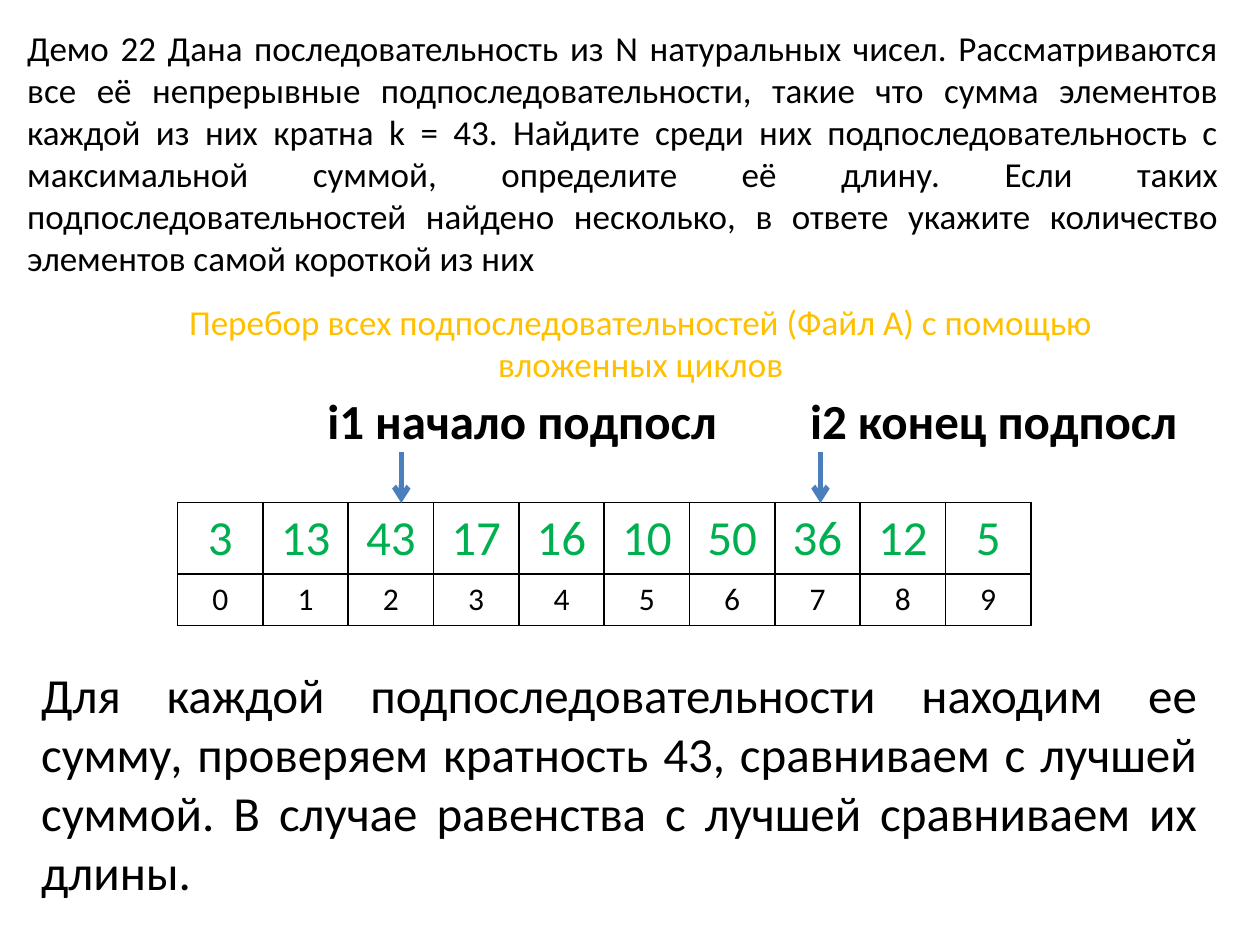
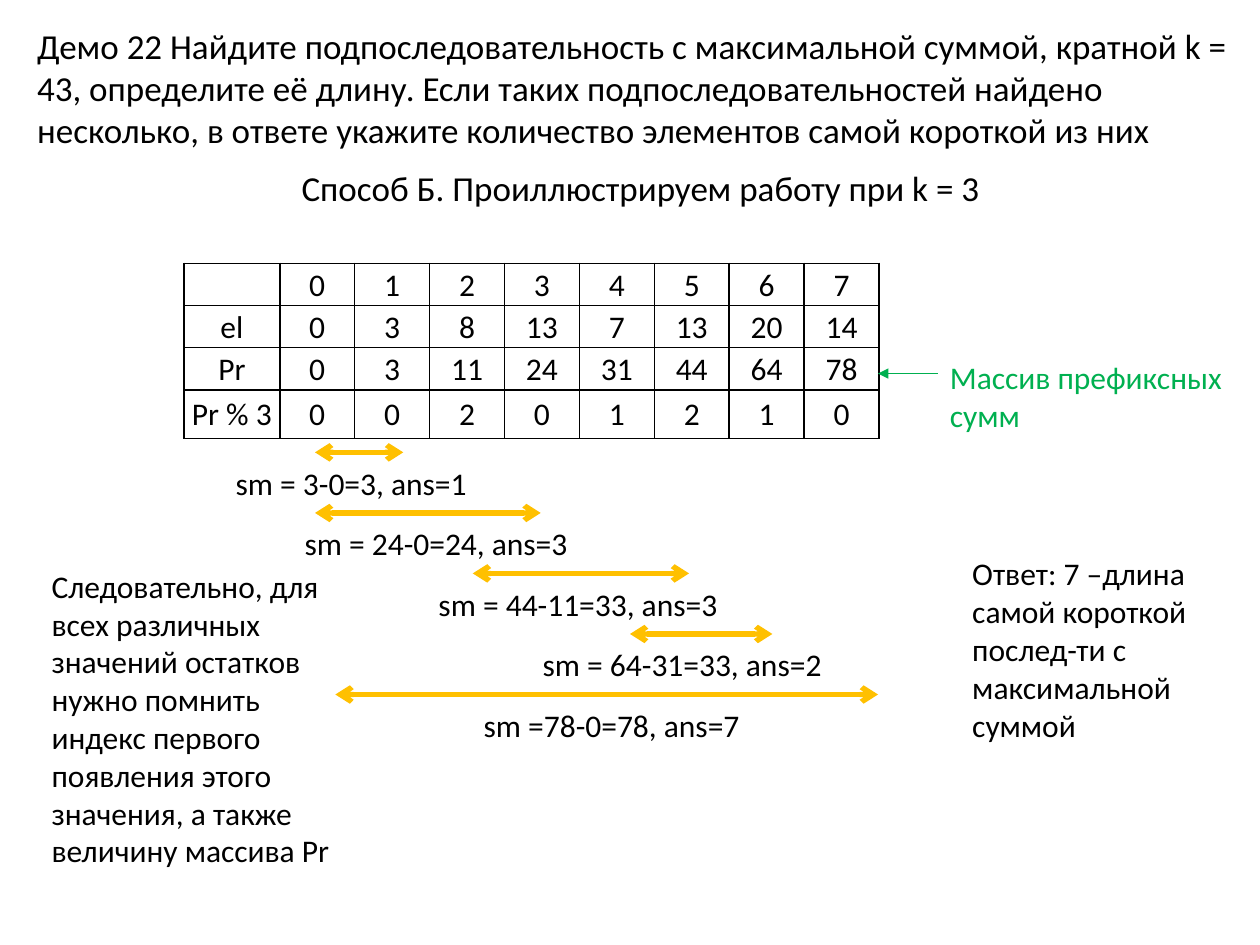
from lxml.etree import SubElement as Sub
from pptx import Presentation
from pptx.dml.color import RGBColor as Rgb
from pptx.enum.shapes import MSO_CONNECTOR as Link
from pptx.enum.text import MSO_ANCHOR as Anchor, MSO_AUTO_SIZE as Auto, PP_ALIGN as Align
from pptx.oxml.ns import qn
from pptx.util import Cm, Pt

FONT = "Calibri"
HUES = {"ink": "000000", "gold": "FFC000", "green": "00B050", "blue": "4B7EBC"}
WIDE, HIGH = 25.4, 19.05


def style(para, size, hue="ink", align=Align.LEFT, bold=False):
    """Set the font and alignment of a paragraph."""
    para.alignment = align
    font = para.font
    font.name, font.size, font.bold = FONT, Pt(size), bold
    font.color.rgb = Rgb.from_string(HUES[hue])


def write(slide, box, text, size=18, **look):
    """Add a wrapped text box; box is left, top, width, height in cm."""
    shape = slide.shapes.add_textbox(*map(Cm, box))
    frame = shape.text_frame
    frame.word_wrap = True
    frame.auto_size = Auto.SHAPE_TO_FIT_TEXT
    frame.text = text
    style(frame.paragraphs[0], size, **look)


def arrow(slide, start, end, hue, width=3, head=None, tail="arrow"):
    """Add a straight arrow between two points in cm."""
    line = slide.shapes.add_connector(Link.STRAIGHT, *map(Cm, start + end))
    line.line.color.rgb = Rgb.from_string(HUES[hue])
    line.line.width = Pt(width)
    edge = line.line._get_or_add_ln()
    for name, kind in (("a:headEnd", head), ("a:tailEnd", tail)):
        if kind:
            Sub(edge, qn(name), type=kind)
    Sub(line._element.spPr, qn("a:effectLst"))


def frame_cell(cell):
    """Give a cell thin black borders and no fill."""
    props = cell._tc.get_or_add_tcPr()
    for side in "LRTB":
        edge = Sub(props, qn(f"a:ln{side}"), w=str(Pt(1)))
        Sub(Sub(edge, qn("a:solidFill")), qn("a:srgbClr"), val=HUES["ink"])
    cell.fill.background()


def grid(slide, spot, rows, cols, highs, looks, pad=None):
    """Add a bordered table with one look (size, hue) per row."""
    size = (sum(cols), sum(highs))
    table = slide.shapes.add_table(len(rows), len(cols), *map(Cm, spot + size)).table
    table.first_row = table.horz_banding = False
    for col, wide in zip(table.columns, cols):
        col.width = Cm(wide)
    for row, high, texts, look in zip(table.rows, highs, rows, looks):
        row.height = Cm(high)
        for cell, text in zip(row.cells, texts):
            frame_cell(cell)
            if pad is not None:
                cell.margin_left = cell.margin_right = cell.margin_top = Cm(pad)
                cell.margin_bottom = 0
                cell.vertical_anchor = Anchor.MIDDLE
            cell.text = str(text)
            style(cell.text_frame.paragraphs[0], *look, align=Align.CENTER)


def marker(slide, left, top, wide, text, shift):
    """Add a bold label with an arrow pointing down from it."""
    write(slide, (left, top, wide, 1.45), text, 28, bold=True)
    tip = left + shift
    arrow(slide, (tip, top + 1.37), (tip, top + 2.39), "blue")


def spans(slide, left, top, step):
    """Add the descending ranges, each with its sum below."""
    items = (
        (1.85, 3.63, 0, 7.14, "sm = 3-0=3, ans=1"),
        (1.85, 6.4, 1.39, 7.21, "sm = 24-0=24, ans=3"),
        (5.03, 9.39, 4.09, 7.9, "sm = 44-11=33, ans=3"),
        (8.2, 11.07, 6.19, 7.59, "sm = 64-31=33, ans=2"),
        (2.26, 13.2, 5, 7.62, "sm =78-0=78, ans=7"),
    )
    for num, (start, end, shift, wide, text) in enumerate(items):
        level = top + num * step
        arrow(slide, (left + start, level), (left + end, level), "gold", head="arrow")
        write(slide, (left + shift, level + 0.1, wide, 1.03), text)


def brute(slide):
    """Build the slide on trying every subsequence."""
    write(slide, (0.3, 0.4, 24.51, 5.38),
          "Демо 22 Дана последовательность из N натуральных чисел. Рассматриваются все её "
          "непрерывные подпоследовательности, такие что сумма элементов каждой из них кратна "
          "k = 43. Найдите среди них подпоследовательность с максимальной суммой, определите "
          "её длину. Если таких подпоследовательностей найдено несколько, в ответе укажите "
          "количество элементов самой короткой из них", 20, align=Align.JUSTIFY)
    write(slide, (2.4, 5.94, 21.03, 1.96),
          "Перебор всех подпоследовательностей (Файл А) с помощью вложенных циклов",
          20, hue="gold", align=Align.CENTER)
    write(slide, (0.58, 13.28, 23.8, 5.05),
          "Для каждой подпоследовательности находим ее сумму, проверяем кратность 43, "
          "сравниваем с лучшей суммой. В случае равенства с лучшей сравниваем их длины.",
          28, align=Align.JUSTIFY)
    items = (3, 13, 43, 17, 16, 10, 50, 36, 12, 5)
    grid(slide, (3.58, 10.13), (items, range(len(items))), [1.72] * len(items),
         (1.43, 1.04), ((28, "green"), (18, "ink")))
    marker(slide, 16.08, 7.75, 8, "i2 конец подпосл", 0.46)
    marker(slide, 6.35, 7.75, 9.12, "i1 начало подпосл", 1.74)


def prefix(slide):
    """Build the slide on prefix sums."""
    write(slide, (2.4, 3.23, 21.03, 1.11),
          "Способ Б. Проиллюстрируем работу при k = 3", 20, align=Align.CENTER)
    write(slide, (0.5, 0.36, 24.61, 2.82),
          "Демо 22 Найдите подпоследовательность с максимальной суммой, кратной k = 43, "
          "определите её длину. Если таких подпоследовательностей найдено несколько, в ответе "
          "укажите количество элементов самой короткой из них", 20)
    items = (0, 3, 8, 13, 7, 13, 20, 14)
    sums = [sum(items[:end + 1]) for end in range(len(items))]
    rows = (("", *range(len(items))), ("el", *items), ("Pr", *sums),
            ("Pr % 3", *(total % 3 for total in sums)))
    grid(slide, (3.71, 5.31), rows, [1.93] + [1.51] * len(items),
         (0.85, 0.85, 0.85, 0.98), [(18, "ink")] * len(rows), pad=0.03)
    spans(slide, 4.5, 9.12, 1.22)
    write(slide, (18.9, 7.09, 6.1, 1.8), "Массив префиксных сумм", hue="green")
    arrow(slide, (18.9, 7.53), (17.7, 7.53), "green", 0.75, tail="triangle")
    write(slide, (0.79, 11.3, 6.15, 6.4),
          "Следовательно, для всех различных значений остатков нужно помнить индекс первого "
          "появления этого значения, а также величину массива Pr")
    write(slide, (19.35, 11.05, 5.16, 4.11),
          "Ответ: 7 –длина самой короткой послед-ти с максимальной суммой")


def main():
    """Build and save the deck."""
    deck = Presentation()
    deck.slide_width, deck.slide_height = Cm(WIDE), Cm(HIGH)
    for build in (brute, prefix):
        build(deck.slides.add_slide(deck.slide_layouts[6]))
    deck.save("out.pptx")


if __name__ == "__main__":
    main()
